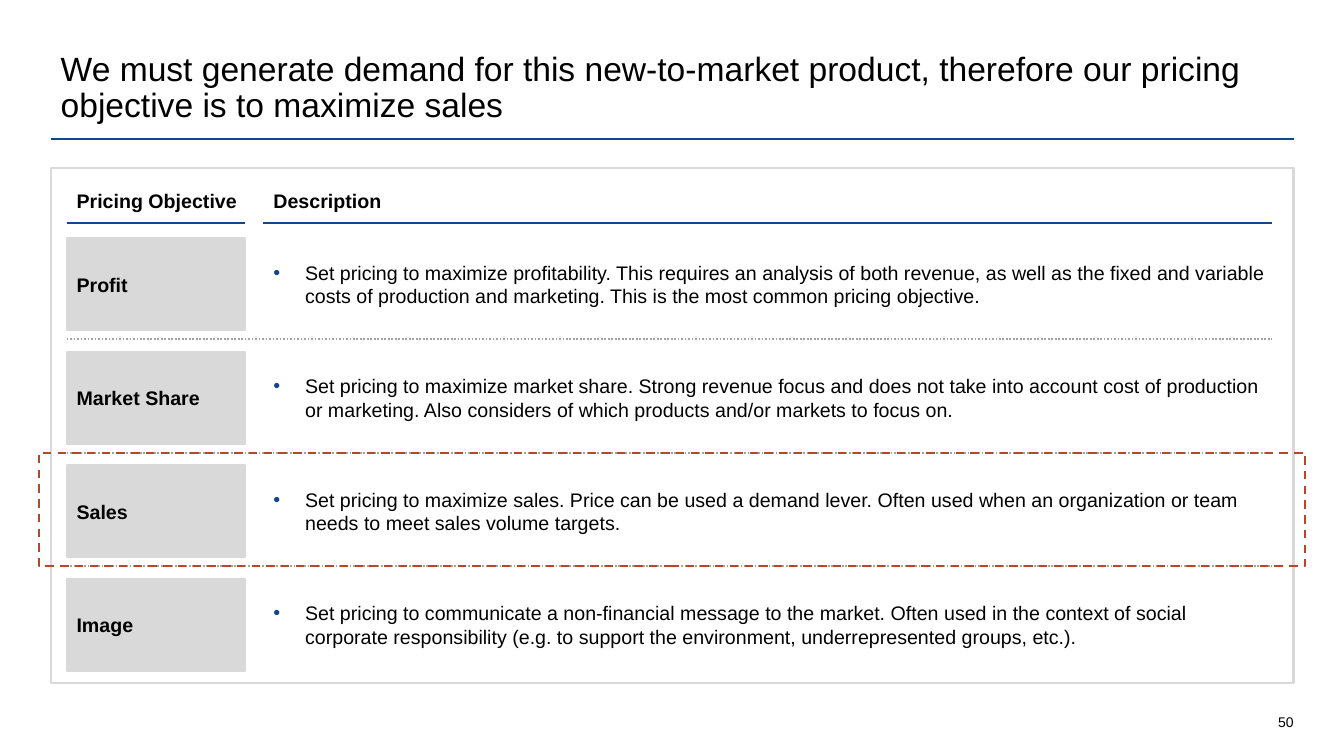
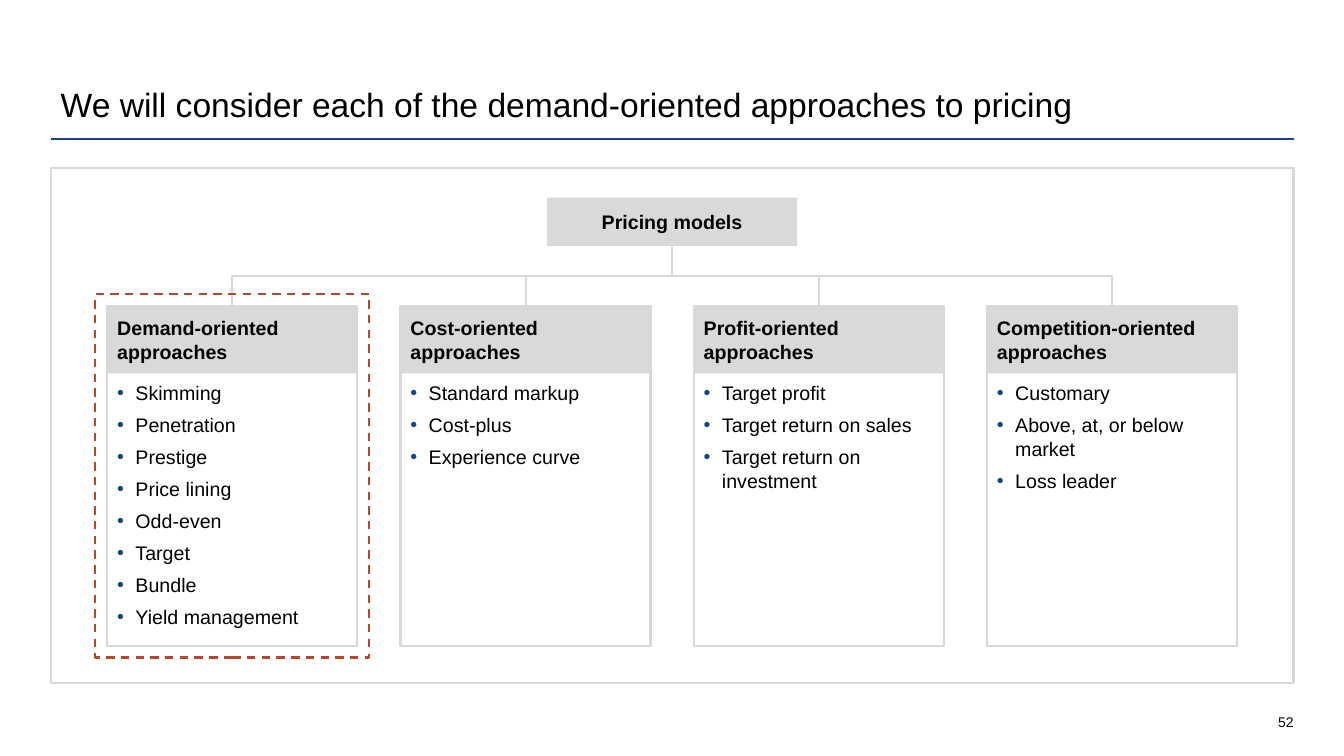
from dataclasses import dataclass

from lxml import etree
from pptx import Presentation
from pptx import util as u
from pptx.dml import color
from pptx.enum import dml, shapes, text
from pptx.oxml import ns


@dataclass(frozen=True)
class Theme:
    font: str = "Arial"
    title_size: int = 24
    body_size: int = 14
    page_size: int = 10
    line_width: float = 1.5
    separator_width: float = 1.25
    ink: str = "000000"
    paper: str = "FFFFFF"
    accent: str = "14478A"
    grey: str = "D9D9D9"
    separator: str = "A3A3A3"
    highlight: str = "B7472A"


@dataclass(frozen=True)
class Box:
    """A rectangle in centimetres."""
    left: float
    top: float
    width: float
    height: float

    @property
    def right(self):
        return self.left + self.width

    @property
    def middle(self):
        return self.left + self.width / 2

    @property
    def bottom(self):
        return self.top + self.height

    def lengths(self):
        return [u.Cm(value) for value in (self.left, self.top, self.width, self.height)]


THEME = Theme()
SLIDE_WIDTH, SLIDE_HEIGHT = 33.87, 19.05
TITLE = Box(1.28, 1.02, 31.32, 2.26)
TITLE_RULE_Y = 3.51
PANEL = Box(1.28, 4.23, 31.32, 12.98)
PAGE_NUMBER = Box(30.98, 17.56, 1.62, 0.84)
INSETS = (0.25, 0.13, 0.25, 0.13)
NO_INSETS = (0, 0, 0, 0)
HIGHLIGHT_MARGIN = 0.3

OBJECTIVES = [
    ("Profit", "Set pricing to maximize profitability. This requires an analysis of both revenue, "
     "as well as the fixed and variable costs of production and marketing. "
     "This is the most common pricing objective."),
    ("Market Share", "Set pricing to maximize market share. Strong revenue focus and does not take "
     "into account cost of production or marketing. "
     "Also considers of which products and/or markets to focus on."),
    ("Sales", "Set pricing to maximize sales. Price can be used a demand lever. "
     "Often used when an organization or team needs to meet sales volume targets."),
    ("Image", "Set pricing to communicate a non-financial message to the market. Often used in the "
     "context of social corporate responsibility (e.g. to support the environment, "
     "underrepresented groups, etc.)."),
]
APPROACHES = [
    ("Demand-oriented approaches", ["Skimming", "Penetration", "Prestige", "Price lining",
                                    "Odd-even", "Target", "Bundle", "Yield management"]),
    ("Cost-oriented approaches", ["Standard markup", "Cost-plus", "Experience curve"]),
    ("Profit-oriented approaches", ["Target profit", "Target return on sales",
                                    "Target return on investment"]),
    ("Competition-oriented approaches", ["Customary", "Above, at, or below market",
                                         "Loss leader"]),
]


def rgb(value):
    return color.RGBColor.from_string(value)


# Drawing helpers
def style_line(line, line_color, width=THEME.line_width, dash=None):
    line.color.rgb = rgb(line_color)
    line.width = u.Pt(width)
    if dash is not None:
        line.dash_style = dash


def add_rectangle(slide, box, fill=None, outline=None, dash=None):
    shape = slide.shapes.add_shape(shapes.MSO_SHAPE.RECTANGLE, *box.lengths())
    shape.shadow.inherit = False
    if fill:
        shape.fill.solid()
        shape.fill.fore_color.rgb = rgb(fill)
    else:
        shape.fill.background()
    if outline:
        style_line(shape.line, outline, dash=dash)
    else:
        shape.line.fill.background()
    return shape


def add_highlight(slide, box):
    add_rectangle(slide, box, outline=THEME.highlight, dash=dml.MSO_LINE.DASH)


def add_connector(slide, kind, start, end):
    points = [u.Cm(value) for value in (*start, *end)]
    connector = slide.shapes.add_connector(kind, *points)
    etree.SubElement(connector._element.spPr, ns.qn("a:effectLst"))
    return connector


def add_rule(slide, left, right, y, line_color=THEME.accent, **line_style):
    rule = add_connector(slide, shapes.MSO_CONNECTOR.STRAIGHT, (left, y), (right, y))
    style_line(rule.line, line_color, **line_style)


def add_bullet(paragraph, indent):
    properties = paragraph._p.get_or_add_pPr()
    properties.set("marL", str(u.Cm(indent)))
    properties.set("indent", str(-u.Cm(indent)))
    bullet_color = etree.SubElement(properties, ns.qn("a:buClr"))
    etree.SubElement(bullet_color, ns.qn("a:srgbClr"), val=THEME.accent)
    etree.SubElement(properties, ns.qn("a:buFont"), typeface=THEME.font)
    etree.SubElement(properties, ns.qn("a:buChar"), char="•")


def write(shape, lines, size=THEME.body_size, bold=False, align=text.PP_ALIGN.LEFT,
          anchor=text.MSO_ANCHOR.MIDDLE, insets=INSETS,
          bullet_indent=None, space_after=None, line_spacing=None):
    frame = shape.text_frame
    frame.word_wrap = True
    frame.vertical_anchor = anchor
    (frame.margin_left, frame.margin_top,
     frame.margin_right, frame.margin_bottom) = [u.Cm(inset) for inset in insets]
    for index, line in enumerate(lines):
        paragraph = frame.add_paragraph() if index else frame.paragraphs[0]
        paragraph.text = line
        if bullet_indent:
            add_bullet(paragraph, bullet_indent)
        paragraph.alignment = align
        if space_after is not None:
            paragraph.space_after = u.Pt(space_after)
        if line_spacing is not None:
            paragraph.line_spacing = line_spacing
        paragraph.font.name = THEME.font
        paragraph.font.size = u.Pt(size)
        paragraph.font.bold = bold
        paragraph.font.color.rgb = rgb(THEME.ink)


def add_text(slide, box, lines, **text_style):
    write(slide.shapes.add_textbox(*box.lengths()), lines, **text_style)


# Shared slide frame: title, rule, panel and page number
def add_framed_slide(presentation, title, page):
    slide = presentation.slides.add_slide(presentation.slide_layouts[6])
    add_rule(slide, TITLE.left, TITLE.right, TITLE_RULE_Y)
    add_text(slide, TITLE, [title], size=THEME.title_size,
             anchor=text.MSO_ANCHOR.BOTTOM, line_spacing=0.9)
    add_rectangle(slide, PANEL, fill=THEME.paper, outline=THEME.grey)
    add_text(slide, PAGE_NUMBER, [str(page)], size=THEME.page_size, insets=NO_INSETS,
             align=text.PP_ALIGN.RIGHT, anchor=text.MSO_ANCHOR.BOTTOM)
    return slide


# Objectives: label and description rows, one of them highlighted
def add_column_heading(slide, box, heading):
    # The text may run a little past its rule, so that it stays on one line
    add_text(slide, Box(box.left, box.top, box.width + 0.45, box.height), [heading],
             bold=True, anchor=text.MSO_ANCHOR.TOP, line_spacing=1.2)
    add_rule(slide, box.left, box.right, box.bottom)


def add_objective_row(slide, label_box, description_box, label, description):
    write(add_rectangle(slide, description_box, fill=THEME.paper, outline=THEME.paper),
          [description], insets=(0.25, 0.13, 0, 0.13), bullet_indent=0.8)
    write(add_rectangle(slide, label_box, fill=THEME.grey, outline=THEME.grey),
          [label], bold=True)


def add_objectives(slide, box, objectives, chosen):
    label_left, label_width = box.left + 0.4, 4.5
    description_left, description_width = box.left + 5.36, 25.42
    description_right = description_left + description_width
    first_top, pitch, row_height, separator_offset = box.top + 1.78, 2.86, 2.31, 2.54

    for left, width, heading in ((label_left, label_width, "Pricing Objective"),
                                 (description_left, description_width, "Description")):
        add_column_heading(slide, Box(left, box.top + 0.29, width, 1.09), heading)

    for index, (label, description) in enumerate(objectives):
        top = first_top + index * pitch
        add_objective_row(slide, Box(label_left, top, label_width, row_height),
                          Box(description_left, top, description_width, row_height),
                          label, description)
        if index < len(objectives) - 1:
            add_rule(slide, label_left, description_right, top + separator_offset,
                     THEME.separator, width=THEME.separator_width,
                     dash=dml.MSO_LINE.ROUND_DOT)

    chosen_top = first_top + (chosen - 1) * pitch + separator_offset
    add_highlight(slide, Box(box.left - HIGHLIGHT_MARGIN, chosen_top,
                             box.width + 2 * HIGHLIGHT_MARGIN, pitch))


# Pricing models: a root box joined to four cards
def add_card(slide, box, heading, items):
    heading_height, inset = 1.7, 0.25
    add_rectangle(slide, box, fill=THEME.paper, outline=THEME.grey)
    list_top = box.top + heading_height + 0.2
    add_text(slide, Box(box.left + inset, list_top, box.width - 2 * inset,
                        box.bottom - list_top - inset),
             items, insets=NO_INSETS, anchor=text.MSO_ANCHOR.TOP,
             bullet_indent=0.46, space_after=6)
    header = add_rectangle(slide, Box(box.left, box.top, box.width, heading_height),
                           fill=THEME.grey)
    write(header, [heading], bold=True)
    return header


def add_branch(slide, root, root_box, header, card_box):
    start, end = (root_box.middle, root_box.bottom), (card_box.middle, card_box.top)
    branch = add_connector(slide, shapes.MSO_CONNECTOR.ELBOW, start, end)
    style_line(branch.line, THEME.grey)
    branch.begin_connect(root, 2)
    branch.end_connect(header, 0)
    # Turn the elbow so that it leaves downwards
    run, drop = end[0] - start[0], end[1] - start[1]
    turned = Box((start[0] + end[0] - drop) / 2, (start[1] + end[1] - abs(run)) / 2,
                 drop, abs(run))
    branch.left, branch.top, branch.width, branch.height = turned.lengths()
    transform = branch._element.spPr.find(ns.qn("a:xfrm"))
    for flip in ("flipH", "flipV"):
        transform.attrib.pop(flip, None)
    transform.set("rot", str((90 if run < 0 else 270) * 60000))
    if run > 0:
        transform.set("flipH", "1")


def add_model_tree(slide, box, root_label, approaches, chosen):
    card_width, card_height, pitch = 6.3, 8.56, 7.39
    first_left = box.middle - ((len(approaches) - 1) * pitch + card_width) / 2
    card_boxes = [Box(first_left + index * pitch, box.top + 3.48, card_width, card_height)
                  for index in range(len(approaches))]
    root_box = Box(box.middle - card_width / 2, box.top + 0.75, card_width, 1.22)

    root = add_rectangle(slide, root_box, fill=THEME.grey)
    write(root, [root_label], bold=True, align=text.PP_ALIGN.CENTER)
    for card_box, (heading, items) in zip(card_boxes, approaches):
        header = add_card(slide, card_box, heading, items)
        add_branch(slide, root, root_box, header, card_box)

    card = card_boxes[chosen]
    add_highlight(slide, Box(card.left - HIGHLIGHT_MARGIN, card.top - HIGHLIGHT_MARGIN,
                             card.width + 2 * HIGHLIGHT_MARGIN,
                             card.height + 2 * HIGHLIGHT_MARGIN))


def main():
    presentation = Presentation()
    presentation.slide_width = u.Cm(SLIDE_WIDTH)
    presentation.slide_height = u.Cm(SLIDE_HEIGHT)

    slide = add_framed_slide(presentation, "We must generate demand for this new-to-market "
                             "product, therefore our pricing objective is to maximize sales", 50)
    add_objectives(slide, PANEL, OBJECTIVES, chosen=2)

    slide = add_framed_slide(presentation, "We will consider each of the demand-oriented "
                             "approaches to pricing", 52)
    add_model_tree(slide, PANEL, "Pricing models", APPROACHES, chosen=0)

    presentation.save("out.pptx")


if __name__ == "__main__":
    main()
